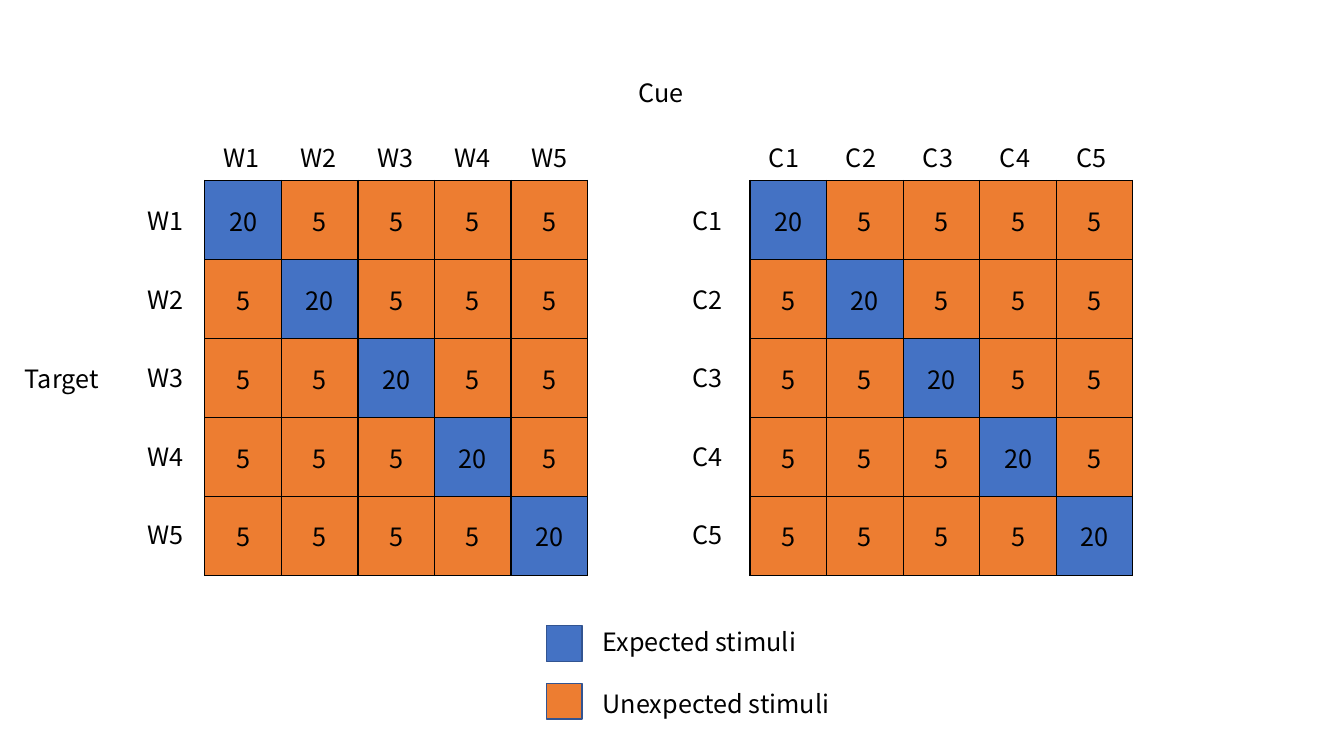
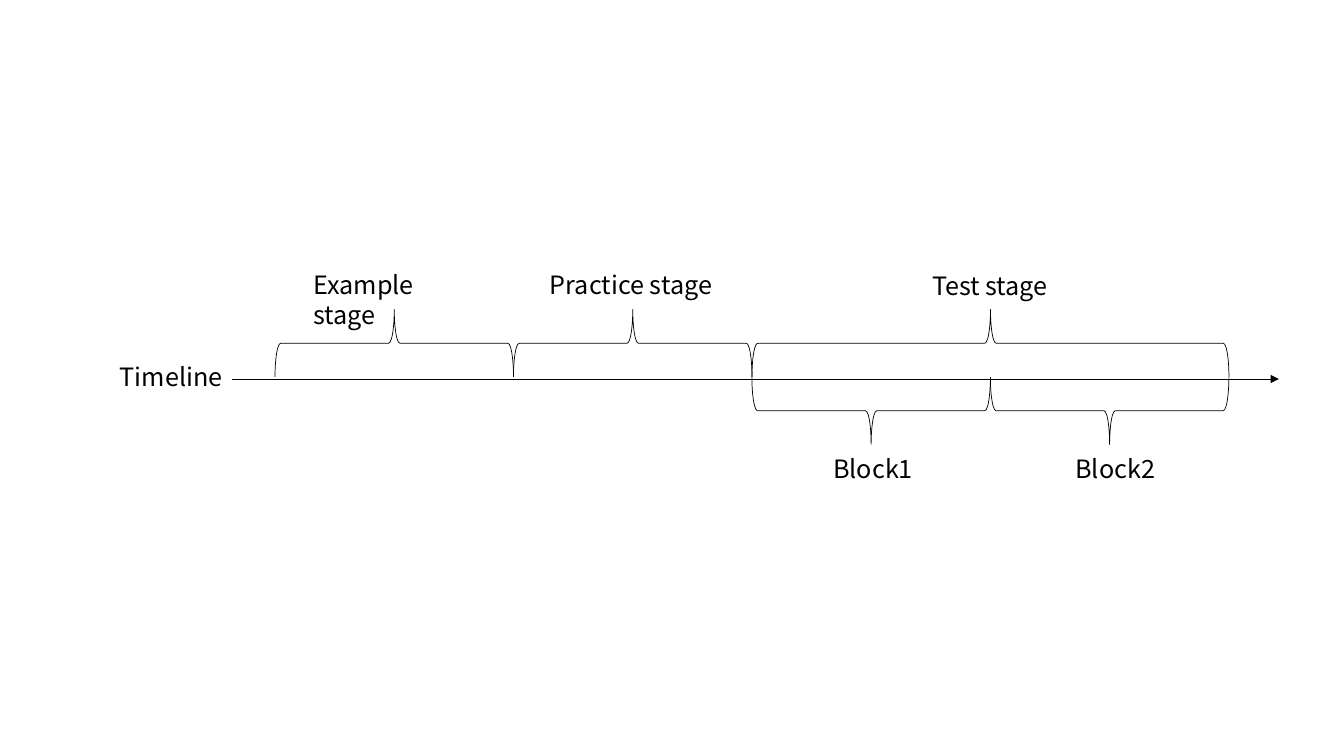
from dataclasses import dataclass
from pptx import Presentation
from pptx import util as u
from pptx.dml.color import RGBColor
from pptx.enum import shapes, text
from pptx.oxml import parse_xml
from pptx.oxml.ns import nsdecls, qn
from pptx.oxml.xmlchemy import OxmlElement

Cm, Pt = u.Cm, u.Pt


# Theme
@dataclass(frozen=True)
class Theme:
    font: str = "Noto Sans CJK SC"
    size: int = 18
    ink: str = "000000"
    expected: str = "4472C4"
    unexpected: str = "ED7D31"
    key_line: str = "325491"
    border: float = 1
    hairline: float = 0.5
    text_height: float = 1.02


T = Theme()

# Content: all lengths in centimetres
SIZE, EXPECTED_COUNT, UNEXPECTED_COUNT = 5, 20, 5
GRIDS = [("W", 5.16), ("C", 18.9)]  # prefix, left
GRID_TOP, CELL_W, CELL_H = 4.55, 1.93, 1.99
AXIS_TITLES = [("Cue", 15.85, 1.83, 2), ("Target", 0.38, 9.04, 2.45)]
LEGEND = [  # caption, colour, key top, caption top, caption width
    ("Expected stimuli", T.expected, 15.77, 15.67, 5.44),
    ("Unexpected stimuli", T.unexpected, 17.22, 17.22, 6.73),
]
KEY_LEFT, KEY_SIZE, CAPTION_LEFT = 13.77, 0.9, 14.94

AXIS = (5.84, 32.23, 9.55)  # from, to, height on slide
STAGE_LEFT, STAGE_STEP, BRACE_DEPTH = 6.93, 6.01, 1.7
ABOVE, BELOW = (8.65, 90), (10.35, 270)  # brace centre, rotation
BRACES = [(0, 1, ABOVE), (1, 2, ABOVE), (2, 4, ABOVE),
          (2, 3, BELOW), (3, 4, BELOW)]  # first step, last step, side
STAGE_LABELS = [
    ("Example stage", 7.65, 6.65, 4.6),
    ("Practice stage", 13.61, 6.65, 4.6),
    ("Block1", 20.75, 11.3, 4.6),
    ("Block2", 26.85, 11.3, 4.6),
    ("Timeline", 2.77, 8.97, 4.6),
    ("Test stage", 23.24, 6.68, 5.77),
]


# Shared helpers
def rgb(value):
    return RGBColor.from_string(value)


def style(p):
    for r in p.runs:
        r.font.name, r.font.size = T.font, Pt(T.size)
        r.font.color.rgb = rgb(T.ink)


def label(s, words, left, top, width):
    sp = s.shapes.add_textbox(Cm(left), Cm(top), Cm(width), Cm(T.text_height))
    tf = sp.text_frame
    tf.text = words
    tf.word_wrap = True
    tf.auto_size = text.MSO_AUTO_SIZE.SHAPE_TO_FIT_TEXT
    style(tf.paragraphs[0])


def outline(sp, colour, width):
    sp.line.color.rgb = rgb(colour)
    sp.line.width = Pt(width)


def shape(s, kind, left, top, width, height):
    sp = s.shapes.add_shape(kind, Cm(left), Cm(top), Cm(width), Cm(height))
    sp.shadow.inherit = False
    return sp


def cell_borders(cell):
    tc_pr = cell._tc.get_or_add_tcPr()
    for side in "LRTB":
        tc_pr.append(parse_xml(
            f'<a:ln{side} {nsdecls("a")} w="{Pt(T.border)}"><a:solidFill>'
            f'<a:srgbClr val="{T.ink}"/></a:solidFill></a:ln{side}>'))


def stimulus_grid(s, prefix, left):
    frame = s.shapes.add_table(SIZE, SIZE, Cm(left), Cm(GRID_TOP),
                               Cm(CELL_W * SIZE), Cm(CELL_H * SIZE))
    table = frame.table
    table.first_row = table.horz_banding = False
    for i in range(SIZE):
        table.columns[i].width, table.rows[i].height = Cm(CELL_W), Cm(CELL_H)
        name = f"{prefix}{i + 1}"
        label(s, name, left + 0.23 + 1.94 * i, GRID_TOP - 1.1, 1.5)
        label(s, name, left - 1.7, GRID_TOP + 0.5 + 1.98 * i, 1.5)
        for j in range(SIZE):
            cell = table.cell(i, j)
            cell_borders(cell)
            cell.fill.solid()
            cell.fill.fore_color.rgb = rgb(T.expected if i == j else T.unexpected)
            cell.text = str(EXPECTED_COUNT if i == j else UNEXPECTED_COUNT)
            cell.vertical_anchor = text.MSO_ANCHOR.MIDDLE
            p = cell.text_frame.paragraphs[0]
            p.alignment = text.PP_ALIGN.CENTER
            style(p)


def arrow(s, start, end, y):
    line = s.shapes.add_connector(shapes.MSO_CONNECTOR.STRAIGHT,
                                  Cm(start), Cm(y), Cm(end), Cm(y))
    outline(line, T.ink, T.hairline)
    tail = OxmlElement("a:tailEnd")
    tail.set("type", "triangle")
    line.line._get_or_add_ln().append(tail)
    line._element.find(qn("p:spPr")).append(OxmlElement("a:effectLst"))


def brace(s, first, last, side):
    middle, rotation = side
    span = (last - first) * STAGE_STEP
    centre = STAGE_LEFT + (first + last) / 2 * STAGE_STEP
    sp = shape(s, shapes.MSO_SHAPE.LEFT_BRACE, centre - BRACE_DEPTH / 2,
               middle - span / 2, BRACE_DEPTH, span)
    sp.rotation = rotation
    sp.fill.background()
    outline(sp, T.ink, T.hairline)


prs = Presentation()
prs.slide_width, prs.slide_height = Cm(33.87), Cm(19.05)
blank = prs.slide_layouts[6]

# Slide 1: cue and target counts
s = prs.slides.add_slide(blank)
for prefix, left in GRIDS:
    stimulus_grid(s, prefix, left)
for title in AXIS_TITLES:
    label(s, *title)
for caption, colour, key_top, caption_top, width in LEGEND:
    key = shape(s, shapes.MSO_SHAPE.RECTANGLE, KEY_LEFT, key_top, KEY_SIZE, KEY_SIZE)
    key.fill.solid()
    key.fill.fore_color.rgb = rgb(colour)
    outline(key, T.key_line, T.border)
    label(s, caption, CAPTION_LEFT, caption_top, width)

# Slide 2: timeline of stages
s = prs.slides.add_slide(blank)
arrow(s, *AXIS)
for stage in BRACES:
    brace(s, *stage)
for stage_label in STAGE_LABELS:
    label(s, *stage_label)

prs.save("out.pptx")
